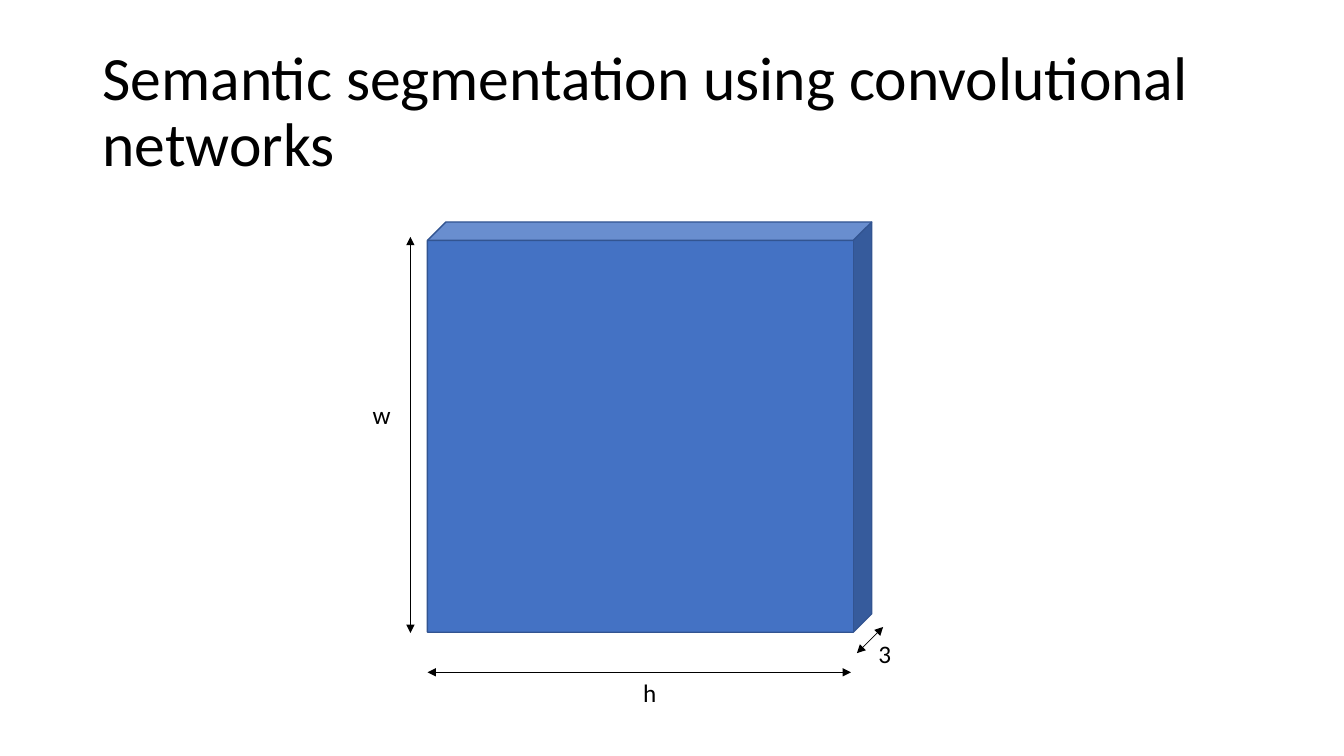
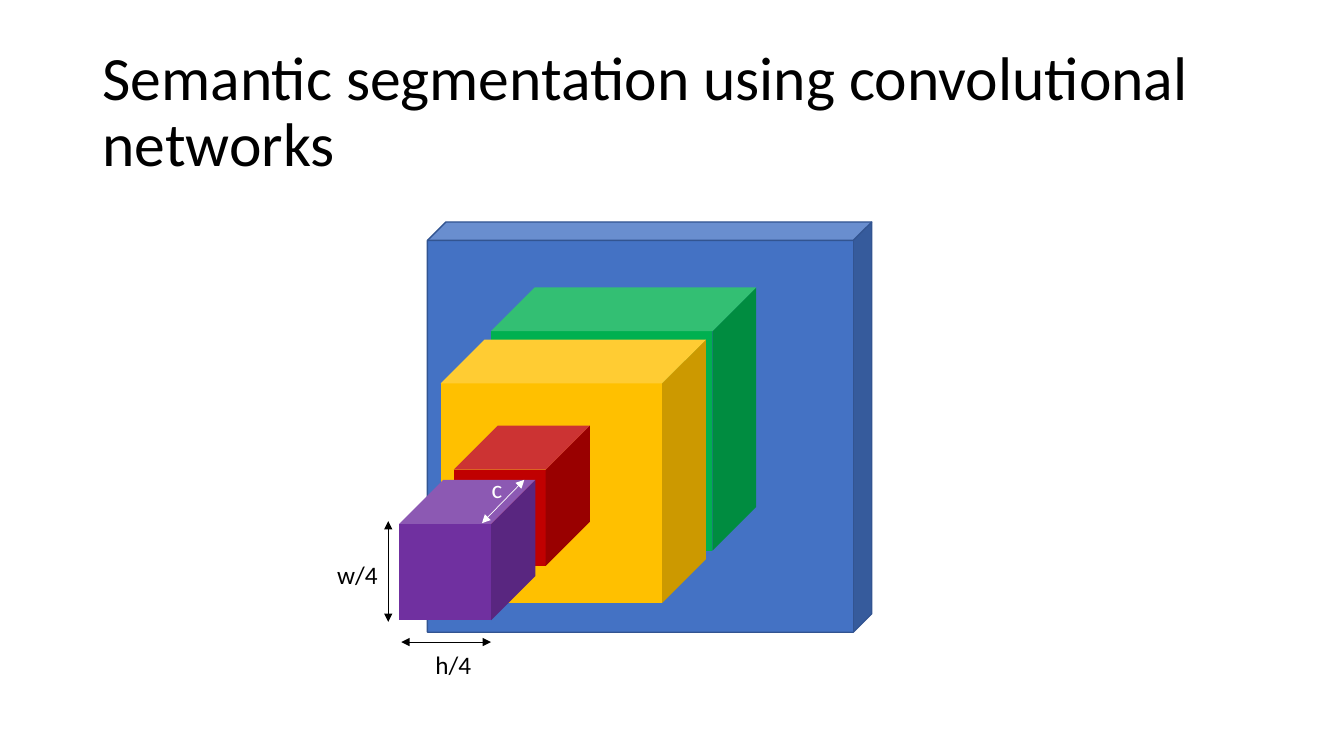
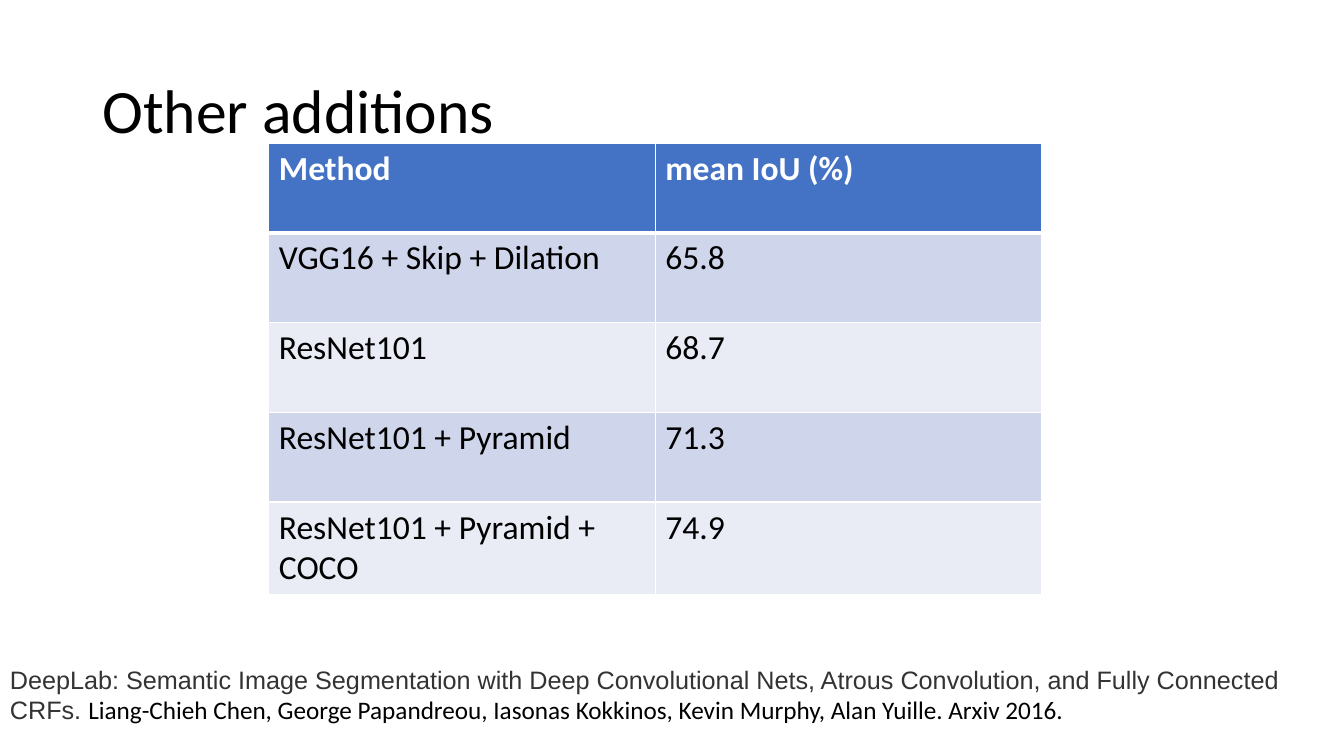
import pptx
import pptx.util
import pptx.dml.color
import pptx.enum.shapes
import pptx.enum.text
import pptx.oxml
import pptx.oxml.ns
import lxml.etree

COLS, ROWS = 160, 90
WIDTH, HEIGHT = pptx.util.Inches(13.33), pptx.util.Inches(7.5)
COLORS = {
    "black": "000000", "white": "FFFFFF", "gray": "333333",
    "blue": "4472C4", "navy": "325491", "green": "00B050",
    "yellow": "FFC000", "red": "C00000", "purple": "7030A0",
    "band_dark": "CFD5EA", "band_light": "E9EBF5",
}
TITLE = {"name": "Calibri", "size": 44, "bold": False, "color": "black"}
BODY = {**TITLE, "size": 18}
CITED = {**BODY, "name": "Arial", "color": "gray"}
CELL = {**TITLE, "size": 24}
HEADER = {**CELL, "bold": True, "color": "white"}

SEGMENTATION = "Semantic segmentation using convolutional networks"
INPUT_BLOCK = (50.89, 26.43, 52.9, 48.84)
LABEL_W, LABEL_H = 8.3, 4.8
FEATURE_BLOCKS = [
    ((58.45, 34.22, 31.57, 31.34), 16.6, "green"),
    ((52.46, 40.44, 31.57, 31.34), 16.6, "yellow"),
    ((54.02, 50.66, 16.2, 16.7), 32.4, "red"),
    ((47.53, 57.12, 16.2, 16.7), 32.4, "purple"),
]
INPUT_DIMENSIONS = [
    ("h", (50.9, 80.04, 101.3, 80.04), (73.2, 80.04), "black"),
    ("w", (48.86, 28.2, 48.86, 75.36), (41.3, 46.92), "black"),
    ("3", (102.02, 77.76, 105.14, 74.64), (101.2, 75.36), "black"),
]
FEATURE_DIMENSIONS = [
    ("h/4", (47.78, 76.44, 58.46, 76.44), (49.82, 76.68), "black"),
    ("w/4", (46.22, 62.04, 46.22, 74.04), (38.4, 66), "black"),
    ("c", (57.38, 62.28, 62.42, 57.12), (55, 55.8), "white"),
]
RESULTS = [
    ("Method", "mean IoU (%)"),
    ("VGG16 + Skip + Dilation", "65.8"),
    ("ResNet101", "68.7"),
    ("ResNet101 + Pyramid", "71.3"),
    ("ResNet101 + Pyramid + COCO", "74.9"),
]
CITATION = [
    ("DeepLab: Semantic Image Segmentation with Deep Convolutional Nets, "
     "Atrous Convolution, and Fully Connected CRFs. ", CITED),
    ("Liang-Chieh Chen, George Papandreou, Iasonas Kokkinos, Kevin Murphy, "
     "Alan Yuille. Arxiv 2016.", BODY),
]


def grid(*lengths):
    sizes = (WIDTH / COLS, HEIGHT / ROWS)
    return [round(v * sizes[i % 2]) for i, v in enumerate(lengths)]


def rgb(name):
    return pptx.dml.color.RGBColor.from_string(COLORS[name])


def set_attrs(obj, values):
    for key, value in values.items():
        setattr(obj, key, value)


def add_run(p, text, style):
    r = p.add_run()
    r.text = text
    set_attrs(r.font, {"name": style["name"], "bold": style["bold"],
                       "size": pptx.util.Pt(style["size"])})
    r.font.color.rgb = rgb(style["color"])


def add_slide(prs, title):
    s = prs.slides.add_slide(prs.slide_layouts[5])
    sp = s.shapes.title
    set_attrs(sp, dict(zip(("left", "top", "width", "height"),
                           grid(11, 4.8, 138, 17.4))))
    tf = sp.text_frame
    set_attrs(tf, {"word_wrap": True,
                   "auto_size": pptx.enum.text.MSO_AUTO_SIZE.NONE,
                   "vertical_anchor": pptx.enum.text.MSO_ANCHOR.MIDDLE})
    p = tf.paragraphs[0]
    set_attrs(p, {"alignment": pptx.enum.text.PP_ALIGN.LEFT,
                  "line_spacing": 0.9})
    add_run(p, title, TITLE)
    return s


def add_text(s, box, runs, align="LEFT"):
    tf = s.shapes.add_textbox(*grid(*box)).text_frame
    set_attrs(tf, {"word_wrap": True, "auto_size":
                   pptx.enum.text.MSO_AUTO_SIZE.SHAPE_TO_FIT_TEXT})
    p = tf.paragraphs[0]
    p.alignment = pptx.enum.text.PP_ALIGN[align]
    for text, style in runs:
        add_run(p, text, style)


def add_block(s, box, depth_percent, fill, outline=None):
    sp = s.shapes.add_shape(pptx.enum.shapes.MSO_SHAPE.CUBE, *grid(*box))
    sp.adjustments[0] = depth_percent / 100
    sp.shadow.inherit = False
    sp.fill.solid()
    sp.fill.fore_color.rgb = rgb(fill)
    if outline:
        sp.line.color.rgb = rgb(outline)
        sp.line.width = pptx.util.Pt(1)
    else:
        sp.line.fill.background()


def add_input_block(s):
    add_block(s, INPUT_BLOCK, 4.5, "blue", "navy")


def add_dimension(s, text, ends, corner, color):
    straight = pptx.enum.shapes.MSO_CONNECTOR.STRAIGHT
    line = s.shapes.add_connector(straight, *grid(*ends))
    line.line.color.rgb = rgb(color)
    line.line.width = pptx.util.Pt(0.5)
    ln = line.line._get_or_add_ln()
    for tag in ("a:headEnd", "a:tailEnd"):
        lxml.etree.SubElement(ln, pptx.oxml.ns.qn(tag), type="triangle")
    lxml.etree.SubElement(line._element.spPr, pptx.oxml.ns.qn("a:effectLst"))
    add_text(s, (*corner, LABEL_W, LABEL_H),
             [(text, {**BODY, "color": color})], "CENTER")


def set_borders(cell, widths):
    tcPr = cell._tc.get_or_add_tcPr()
    for side, width in widths.items():
        ln = lxml.etree.SubElement(tcPr, pptx.oxml.ns.qn("a:ln" + side),
                                   w=str(pptx.util.Pt(width)))
        fill = lxml.etree.SubElement(ln, pptx.oxml.ns.qn("a:solidFill"))
        lxml.etree.SubElement(fill, pptx.oxml.ns.qn("a:srgbClr"),
                              val=COLORS["white"])


def add_results(s, box, rows):
    frame = s.shapes.add_table(len(rows), len(rows[0]), *grid(*box))
    for i, row in enumerate(rows):
        fill = "blue" if i == 0 else ("band_light", "band_dark")[i % 2]
        for j, text in enumerate(row):
            cell = frame.table.cell(i, j)
            set_borders(cell, {"L": 1, "R": 1, "T": 3 if i == 1 else 1,
                               "B": 3 if i == 0 else 1})
            cell.fill.solid()
            cell.fill.fore_color.rgb = rgb(fill)
            add_run(cell.text_frame.paragraphs[0], text,
                    CELL if i else HEADER)


def main():
    prs = pptx.Presentation()
    set_attrs(prs, {"slide_width": WIDTH, "slide_height": HEIGHT})

    s = add_slide(prs, SEGMENTATION)
    add_input_block(s)
    for dimension in INPUT_DIMENSIONS:
        add_dimension(s, *dimension)

    s = add_slide(prs, SEGMENTATION)
    add_input_block(s)
    for block in FEATURE_BLOCKS:
        add_block(s, *block)
    for dimension in FEATURE_DIMENSIONS:
        add_dimension(s, *dimension)

    s = add_slide(prs, "Other additions")
    add_results(s, (32, 17.06, 92, 53.4), RESULTS)
    add_text(s, (0, 78.5, COLS, 8.5), CITATION)

    prs.save("out.pptx")


if __name__ == "__main__":
    main()
